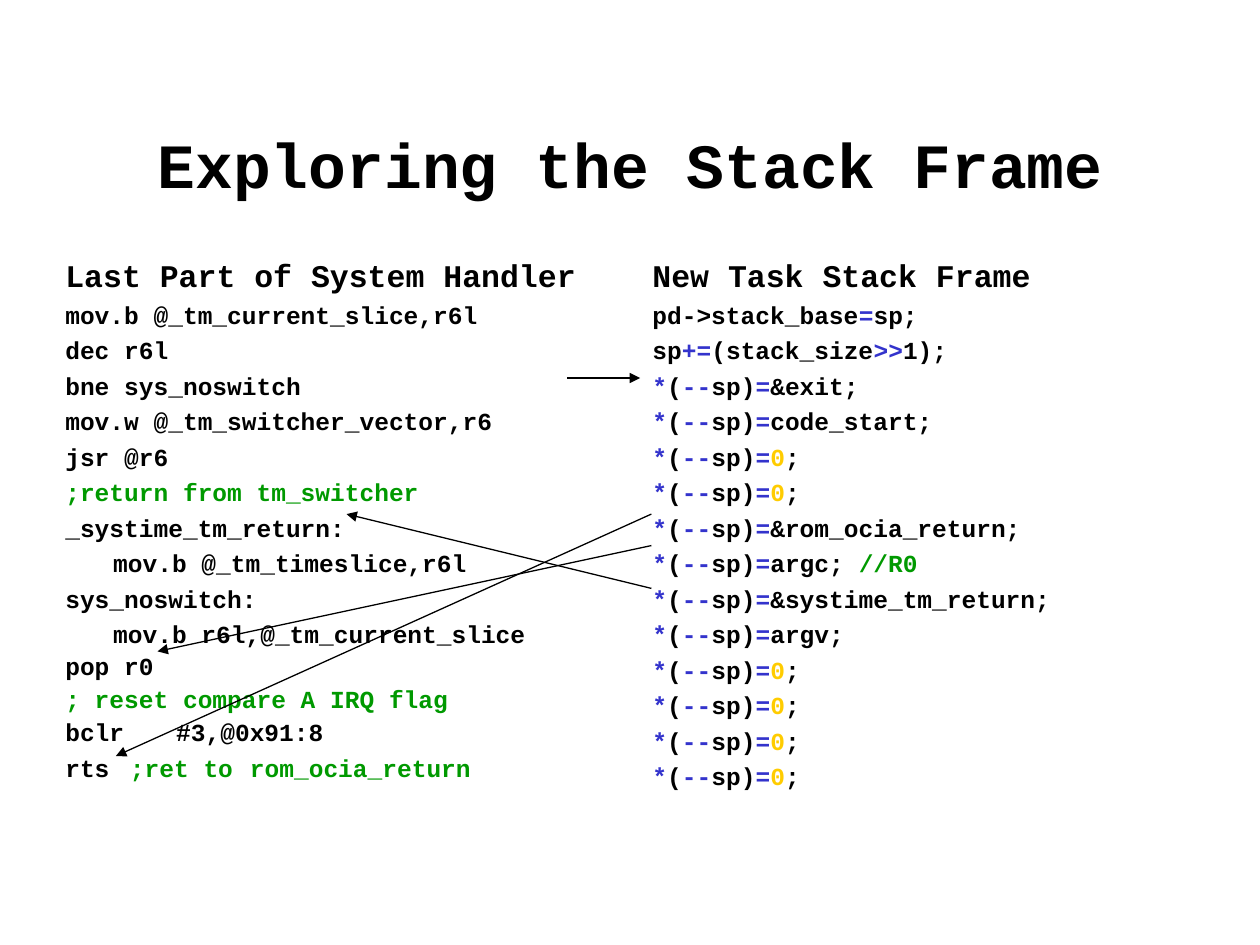
from dataclasses import dataclass

from lxml.etree import SubElement
from pptx import Presentation
from pptx.dml.color import RGBColor
from pptx.enum.shapes import MSO_CONNECTOR
from pptx.enum.text import MSO_ANCHOR, PP_ALIGN
from pptx.oxml.ns import qn
from pptx.util import Inches, Pt


@dataclass(frozen=True)
class Theme:
    font: str = "Courier New"
    text: str = "000000"
    operator: str = "3333CC"
    number: str = "FFCC00"
    comment: str = "009900"
    title_size: int = 36
    heading_size: int = 18
    code_size: int = 14
    gap_size: int = 16
    arrow_width: float = 0.75


THEME = Theme()


def plain(text, size=THEME.code_size):
    return text, THEME.text, size


def operator(text):
    return text, THEME.operator, THEME.code_size


def number(text):
    return text, THEME.number, THEME.code_size


def comment(text, size=THEME.code_size):
    return text, THEME.comment, size


def push(*value):
    return [operator("*"), plain("("), operator("--"), plain("sp)"), operator("="), *value]


HANDLER_LINES = [
    [plain("mov.b @_tm_current_slice,r6l")],
    [plain("dec r6l")],
    [plain("bne sys_noswitch")],
    [plain("mov.w @_tm_switcher_vector,r6")],
    [plain("jsr @r6")],
    [comment(";return from tm_switcher")],
    [plain("_systime_tm_return:")],
    [plain("\tmov.b @_tm_timeslice,r6l")],
    [plain("sys_noswitch:")],
    [plain("\tmov.b r6l,@_tm_current_slice")],
]
INTERRUPT_EXIT_LINES = [
    [plain("pop r0")],
    [comment("; reset compare A IRQ flag")],
    [plain("bclr\t#3,@0x91:8")],
]
RETURN_LINE = [
    plain("rts"),
    plain("\t ", THEME.gap_size),
    comment(";ret to"),
    comment(" ", THEME.gap_size),
    comment("rom_ocia_return"),
]

ZERO_PUSH = push(number("0"), plain(";"))
STACK_LINES = [
    [plain("pd->stack_base"), operator("="), plain("sp;")],
    [plain("sp"), operator("+="), plain("(stack_size"), operator(">>"), plain("1);")],
    push(plain("&exit;")),
    push(plain("code_start;")),
    *[ZERO_PUSH] * 2,
    push(plain("&rom_ocia_return;")),
    push(plain("argc; "), comment("//R0")),
    push(plain("&systime_tm_return;")),
    push(plain("argv;")),
    *[ZERO_PUSH] * 4,
]

STACK_EDGE = 5.17
ARROWS = [
    ((STACK_EDGE, 4.67), (2.75, 4.08)),
    ((STACK_EDGE, 4.33), (1.25, 5.17)),
    ((STACK_EDGE, 4.08), (0.92, 6)),
    ((4.5, 3), (5.08, 3)),
]


def add_runs(paragraph, runs):
    for text, color, size in runs:
        run = paragraph.add_run()
        run.text = text
        run.font.name = THEME.font
        run.font.size = Pt(size)
        run.font.bold = True
        run.font.color.rgb = RGBColor.from_string(color)


def add_frame(slide, left, top, width, height):
    frame = slide.shapes.add_textbox(
        Inches(left), Inches(top), Inches(width), Inches(height)
    ).text_frame
    frame.word_wrap = True
    return frame


def add_title(slide, title):
    frame = add_frame(slide, 0.75, 0.67, 8.5, 1.25)
    frame.vertical_anchor = MSO_ANCHOR.MIDDLE
    heading = frame.paragraphs[0]
    heading.alignment = PP_ALIGN.CENTER
    add_runs(heading, [plain(title, THEME.title_size)])


def set_hanging_tabs(paragraph):
    properties = paragraph._p.get_or_add_pPr()
    properties.set("marL", str(Inches(0.38)))
    properties.set("indent", str(-Inches(0.38)))
    tab_list = SubElement(properties, qn("a:tabLst"))
    for inch in range(8):
        SubElement(tab_list, qn("a:tab"), pos=str(Inches(inch)), algn="l")


def add_column(slide, left, width, height, heading):
    frame = add_frame(slide, left, 1.92, width, height)
    frame.margin_top = Inches(0.11)
    frame.margin_right = Inches(0.05)
    set_hanging_tabs(frame.paragraphs[0])
    add_runs(frame.paragraphs[0], [plain(heading, THEME.heading_size)])
    return frame


def add_code(frame, lines, space_before=3.5, line_spacing=1.0):
    for runs in lines:
        paragraph = frame.add_paragraph()
        paragraph.line_spacing = line_spacing
        paragraph.space_before = Pt(space_before)
        set_hanging_tabs(paragraph)
        add_runs(paragraph, runs)


def add_arrow(slide, start, end):
    arrow = slide.shapes.add_connector(
        MSO_CONNECTOR.STRAIGHT, *(Inches(value) for value in (*start, *end))
    )
    arrow.line.color.rgb = RGBColor.from_string(THEME.text)
    arrow.line.width = Pt(THEME.arrow_width)
    SubElement(arrow.line._get_or_add_ln(), qn("a:tailEnd"), type="triangle")
    SubElement(arrow._element.spPr, qn("a:effectLst"))


def main():
    presentation = Presentation()
    presentation.slide_width = Inches(10)
    presentation.slide_height = Inches(7.5)
    slide = presentation.slides.add_slide(presentation.slide_layouts[6])

    add_title(slide, "Exploring the Stack Frame")
    stack = add_column(slide, 5.08, 4.67, 5, "New Task Stack Frame")
    add_code(stack, STACK_LINES)
    handler = add_column(slide, 0.42, 4.25, 4.5, "Last Part of System Handler")
    add_code(handler, HANDLER_LINES)
    add_code(handler, INTERRUPT_EXIT_LINES, line_spacing=0.9)
    add_code(handler, [RETURN_LINE], space_before=4, line_spacing=0.9)
    for start, end in ARROWS:
        add_arrow(slide, start, end)

    presentation.save("out.pptx")


if __name__ == "__main__":
    main()
